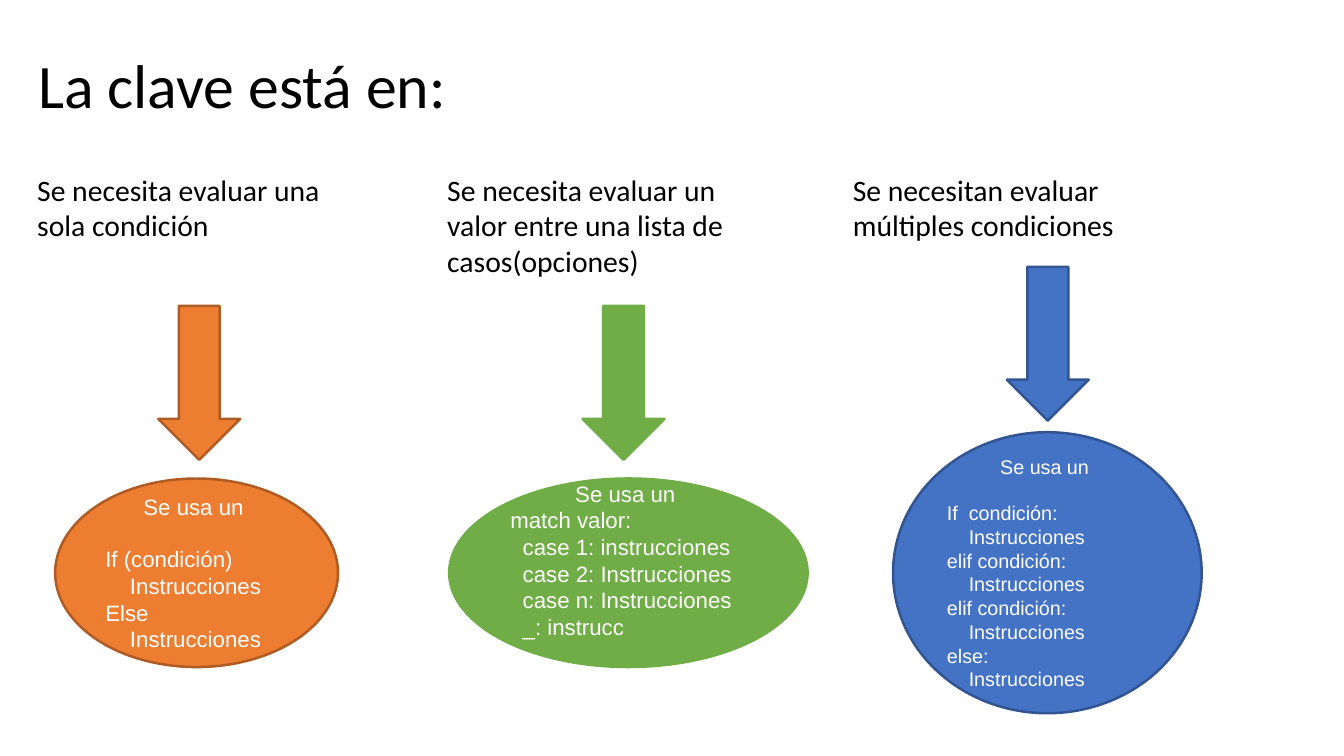
from dataclasses import dataclass

from pptx import Presentation
from pptx.dml.color import RGBColor
from pptx.enum.shapes import MSO_SHAPE
from pptx.enum.text import MSO_ANCHOR, MSO_AUTO_SIZE, PP_ALIGN
from pptx.util import Inches, Pt

DOWN_ARROW, ELLIPSE = MSO_SHAPE.DOWN_ARROW, MSO_SHAPE.OVAL
MIDDLE = MSO_ANCHOR.MIDDLE
LEFT, CENTER = PP_ALIGN.LEFT, PP_ALIGN.CENTER
NO_AUTOFIT = MSO_AUTO_SIZE.NONE


@dataclass(frozen=True)
class Theme:
    heading_font: str = "Calibri"
    code_font: str = "Arial"
    black: str = "000000"
    white: str = "FFFFFF"
    orange: str = "ED7D31"
    dark_orange: str = "AF5C24"
    green: str = "70AD47"
    blue: str = "4472C4"
    dark_blue: str = "325491"
    title_size: float = 50
    need_size: float = 24
    code_size: float = 18
    small_code_size: float = 16


THEME = Theme()
ARROW_WIDTH, ARROW_HEIGHT = 0.92, 1.73
LINE_HEIGHT = 1.15  # Arial line height, in multiples of the type size

# need, its left, arrow (left, top), ellipse box, fill, outline, type size,
# lines of space after the heading, lines of space below the code, code
COLUMNS = [
    ("Se necesita evaluar una sola condición", 0.32,
     (1.78, 3.44), (0.62, 5.38, 3.18, 2.12),
     THEME.orange, THEME.dark_orange, THEME.code_size, 1, 0,
     ["If (condición)", "    Instrucciones", "Else", "    Instrucciones"]),
    ("Se necesita evaluar un valor entre una lista de casos(opciones)", 4.93,
     (6.55, 3.44), (5.05, 5.38, 4.03, 2.12),
     THEME.green, THEME.green, THEME.code_size, 0, 1,
     ["match valor:", "  case 1: instrucciones", "  case 2: Instrucciones",
      "  case n: Instrucciones", "  _: instrucc"]),
    ("Se necesitan evaluar múltiples condiciones", 9.49,
     (11.32, 3), (10.04, 4.86, 3.47, 3.16),
     THEME.blue, THEME.dark_blue, THEME.small_code_size, 1, 0,
     ["If  condición:", "    Instrucciones", "elif condición:", "    Instrucciones",
      "elif condición:", "    Instrucciones", "else:", "    Instrucciones"]),
]


def add_run(paragraph, text, font, size, color):
    run = paragraph.add_run()
    run.text = text
    run.font.name = font
    run.font.size = Pt(size)
    run.font.color.rgb = RGBColor.from_string(color)


def add_filled_shape(kind, box, fill, outline):
    shape = slide.shapes.add_shape(kind, *map(Inches, box))
    shape.shadow.inherit = False
    shape.fill.solid()
    shape.fill.fore_color.rgb = RGBColor.from_string(fill)
    shape.line.color.rgb = RGBColor.from_string(outline)
    shape.line.width = Pt(2)
    return shape


prs = Presentation()
prs.slide_width, prs.slide_height = Inches(15.11), Inches(8.5)
slide = prs.slides.add_slide(prs.slide_layouts[5])

title = slide.shapes.title
title.left, title.top = Inches(0.33), Inches(0.17)
title.width, title.height = Inches(13.03), Inches(1.64)
title.text_frame.auto_size = NO_AUTOFIT
title.text_frame.vertical_anchor = MIDDLE
heading = title.text_frame.paragraphs[0]
heading.alignment = LEFT
heading.line_spacing = 0.9
add_run(heading, "La clave está en:", THEME.heading_font, THEME.title_size, THEME.black)

for (need, need_left, arrow_at, ellipse_box, fill, outline, size,
     heading_gap, bottom_gap, code) in COLUMNS:
    need_box = slide.shapes.add_textbox(
        Inches(need_left), Inches(1.88), Inches(3.84), Inches(0.91))
    need_box.text_frame.word_wrap = True
    add_run(need_box.text_frame.paragraphs[0], need,
            THEME.heading_font, THEME.need_size, THEME.black)

    add_filled_shape(DOWN_ARROW, (*arrow_at, ARROW_WIDTH, ARROW_HEIGHT), fill, outline)

    answer = add_filled_shape(ELLIPSE, ellipse_box, fill, outline).text_frame
    answer.word_wrap = True
    answer.vertical_anchor = MIDDLE
    answer.margin_bottom = Inches(0.05) + Pt(bottom_gap * size * LINE_HEIGHT)
    intro = answer.paragraphs[0]
    intro.alignment = CENTER
    intro.space_after = Pt(heading_gap * size * LINE_HEIGHT)
    add_run(intro, "Se usa un ", THEME.code_font, size, THEME.white)
    for code_line in code:
        paragraph = answer.add_paragraph()
        paragraph.alignment = LEFT
        add_run(paragraph, code_line, THEME.code_font, size, THEME.white)

prs.save("out.pptx")
